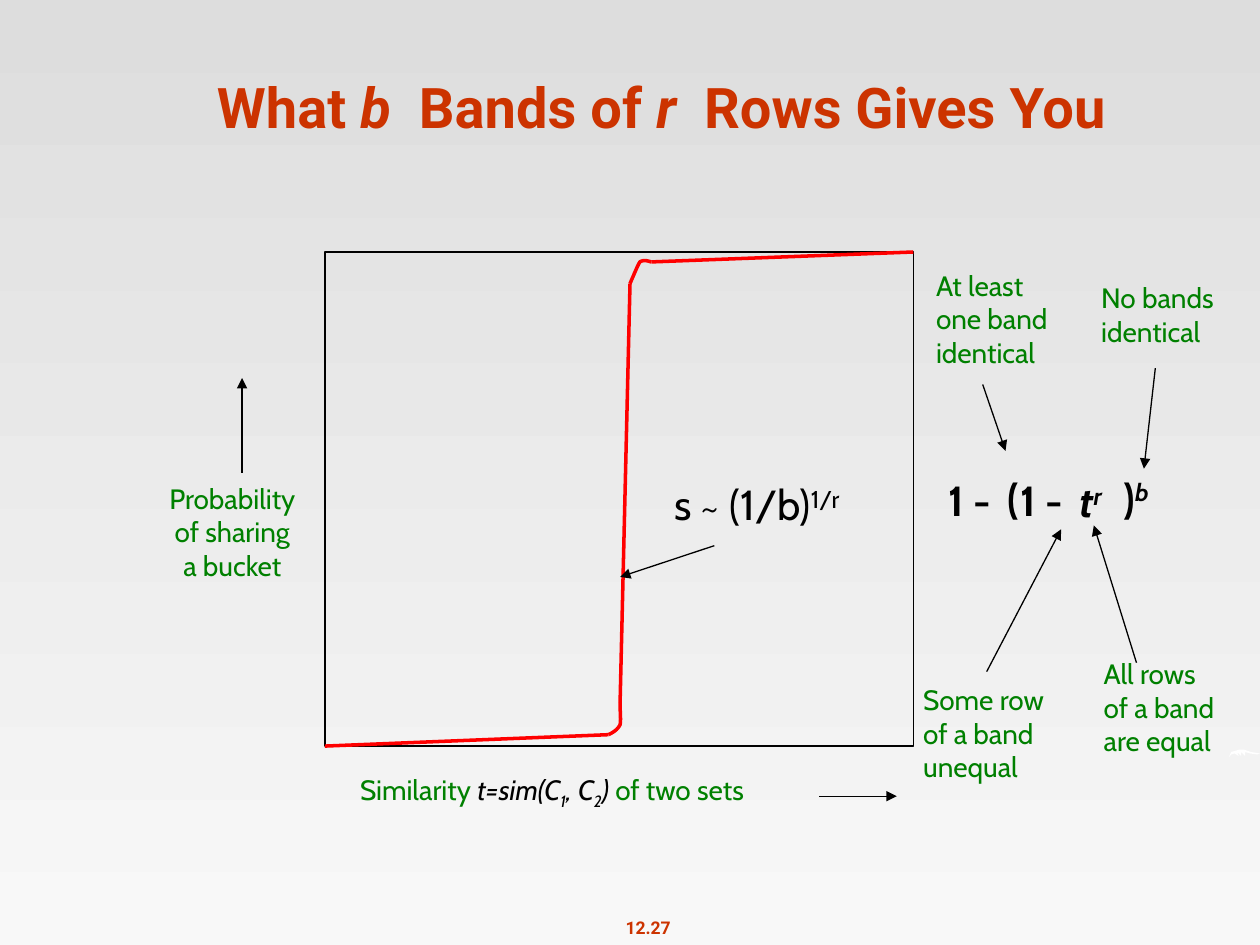
from lxml import etree
from pptx import Presentation
from pptx.dml.color import RGBColor
from pptx.enum.shapes import MSO_CONNECTOR, MSO_SHAPE
from pptx.enum.text import MSO_ANCHOR, MSO_AUTO_SIZE, PP_ALIGN
from pptx.oxml.ns import qn
from pptx.util import Cm, Pt

LEFT, CENTER = PP_ALIGN.LEFT, PP_ALIGN.CENTER
TOP, BOTTOM = MSO_ANCHOR.TOP, MSO_ANCHOR.BOTTOM
FIT = MSO_AUTO_SIZE.SHAPE_TO_FIT_TEXT
NO_FIT = MSO_AUTO_SIZE.NONE
STRAIGHT = MSO_CONNECTOR.STRAIGHT
RECTANGLE = MSO_SHAPE.RECTANGLE

COLORS = {
    "title": "CC3300",
    "label": "008000",
    "ink": "000000",
    "curve": "FF0000",
    "white": "FFFFFF",
    "bg_top": "DDDDDD",
    "bg_bottom": "F8F8F8",
}


def rgb(name):
    return RGBColor.from_string(COLORS[name])


def bezier(start, segments, steps=10):
    points = [start]
    for c1, c2, end in segments:
        p0 = points[-1]
        for i in range(1, steps + 1):
            t = i / steps
            u = 1 - t
            points.append(tuple(
                u**3 * a + 3 * u * u * t * b + 3 * u * t * t * c + t**3 * d
                for a, b, c, d in zip(p0, c1, c2, end)))
    return points


class SlideBuilder:
    heading_font = "Roboto"
    body_font = "Cabin"
    thin, thick = 0.75, 2

    def __init__(self, slide):
        self.slide = slide
        self.shapes = slide.shapes

    def background(self, top, bottom):
        fill = self.slide.background.fill
        fill.gradient()
        fill.gradient_angle = 270
        for stop, name in zip(fill.gradient_stops, (top, bottom)):
            stop.color.rgb = rgb(name)

    def text(self, box, paragraphs, size, color, bold=False, font=None,
             align=LEFT, anchor=TOP, wrap=False, fit=FIT, indent=None):
        sp = self.shapes.add_textbox(*map(Cm, box))
        tf = sp.text_frame
        tf.word_wrap = wrap
        tf.auto_size = fit
        tf.vertical_anchor = anchor
        if indent:
            tf.margin_left = Cm(indent)
        for i, runs in enumerate(paragraphs):
            p = tf.add_paragraph() if i else tf.paragraphs[0]
            p.alignment = align
            for text, style in runs:
                r = p.add_run()
                r.text = text
                r.font.name = font or self.body_font
                r.font.size = Pt(size)
                r.font.bold = bold
                r.font.italic = style.get("italic", False)
                r.font.color.rgb = rgb(style.get("color", color))
                if "base" in style:
                    r.font._element.set("baseline", str(style["base"] * 1000))

    def label(self, box, *lines, align=LEFT):
        self.text(box, [[(line, {})] for line in lines], 16, "label", align=align)

    def formula(self, box, *runs, bold=True):
        self.text(box, [runs], 24, "ink", bold=bold)

    def outline(self, sp, color, width):
        sp.line.color.rgb = rgb(color)
        sp.line.width = Pt(width)

    def frame(self, box):
        sp = self.shapes.add_shape(RECTANGLE, *map(Cm, box))
        sp.shadow.inherit = False
        sp.fill.background()
        self.outline(sp, "ink", self.thin)

    def line(self, start, end, color="curve", width=thick):
        c = self.shapes.add_connector(STRAIGHT, *map(Cm, start + end))
        self.outline(c, color, width)
        sppr = c._element.spPr
        etree.SubElement(sppr, qn("a:effectLst"))
        return sppr.find(qn("a:ln"))

    def arrow(self, start, end):
        ln = self.line(start, end, "ink", self.thin)
        etree.SubElement(ln, qn("a:tailEnd"), type="triangle")

    def freeform(self, points, fill=None):
        points = [(Cm(x), Cm(y)) for x, y in points]
        fb = self.shapes.build_freeform(*points[0])
        fb.add_line_segments(points[1:], close=fill is not None)
        sp = fb.convert_to_shape()
        sp.shadow.inherit = False
        if fill:
            sp.fill.solid()
            sp.fill.fore_color.rgb = rgb(fill)
            sp.line.fill.background()
        else:
            sp.fill.background()
            self.outline(sp, "curve", self.thick)


def main():
    prs = Presentation()
    prs.slide_width, prs.slide_height = Cm(25.4), Cm(19.05)
    s = SlideBuilder(prs.slides.add_slide(prs.slide_layouts[6]))
    italic = {"italic": True}
    ink = {"italic": True, "color": "ink"}
    sub = {**ink, "base": -25}
    power = {"base": 30}
    italic_power = {**italic, **power}

    s.background("bg_top", "bg_bottom")
    s.text((12.34, 18.36, 1.45, 0.69), [[("12.27", {})]], 10, "title",
           bold=True, font=s.heading_font, align=CENTER)
    s.freeform([
        (24.77, 15.27), (24.82, 15.16), (24.89, 15.14), (24.99, 15.11),
        (25.07, 15.11), (25.22, 15.16), (25.4, 15.19), (25.35, 15.21),
        (25.2, 15.19), (25.1, 15.16), (25.1, 15.24), (25.02, 15.16),
        (25.02, 15.24), (24.94, 15.16), (24.97, 15.24), (24.89, 15.19),
        (24.82, 15.21)], fill="white")
    s.text((1.27, 0.2, 24.13, 2.74),
           [[("What ", {}), ("b", italic), ("  Bands of ", {}),
             ("r", italic), ("  Rows Gives You", {})]],
           32, "title", bold=True, font=s.heading_font, align=CENTER,
           anchor=BOTTOM, wrap=True, fit=NO_FIT)

    s.frame((6.55, 5.08, 11.86, 9.96))
    lower = bezier((12.27, 14.81), [
        ((12.37, 14.76), (12.45, 14.71), (12.5, 14.61)),
        ((12.52, 14.5), (12.5, 14.35), (12.5, 14.17))])
    upper = bezier((12.7, 5.72), [
        ((12.78, 5.54), (12.85, 5.36), (12.9, 5.28)),
        ((12.98, 5.23), (13.06, 5.26), (13.13, 5.28))])
    s.line((6.55, 15.04), lower[0])
    s.freeform(lower)
    s.line(lower[-1], upper[0])
    s.freeform(upper)
    s.line(upper[-1], (18.41, 5.08))

    s.formula((21.51, 9.47, 1.3, 1.3), ("t", italic), ("r", italic_power))
    s.formula((20.32, 9.45, 1.68, 1.3), ("1 -", {}))
    s.formula((20.07, 9.4, 0.89, 1.3), ("(", {}))
    s.formula((22.4, 9.4, 1.42, 1.3), (")", {}), ("b", italic_power))
    s.formula((18.87, 9.45, 1.68, 1.3), ("1 -", {}))
    s.formula((13.34, 9.53, 4.9, 1.3), ("s ~ (1/b)", {}), ("1/r", power),
              bold=False)

    s.label((22, 13.11, 3.18, 2.54), "All rows", "of a band", "are equal")
    s.label((18.36, 13.64, 3.33, 2.54), "Some row", "of a band", "unequal")
    s.label((21.95, 5.54, 3.15, 1.86), "No bands", "identical")
    s.label((18.62, 5.28, 3.12, 2.54), "At least", "one band", "identical")
    s.label((2.97, 9.58, 3.43, 2.54), "Probability", "of sharing", "a bucket",
            align=CENTER)
    s.text((4.67, 15.44, 12.07, 1.02),
           [[("Similarity ", {}), ("t=sim(C", ink), ("1", sub), (", C", ink),
             ("2", sub), (") ", ink), ("of two sets", {})]],
           16, "label", align=CENTER, wrap=True, indent=1.1)

    for start, end in [
        ((22.91, 13.36), (22.05, 10.59)),
        ((19.89, 13.54), (21.39, 10.67)),
        ((23.29, 7.42), (23.06, 9.45)),
        ((19.81, 7.75), (20.27, 9.09)),
        ((14.4, 11), (12.5, 11.63)),
        ((16.51, 16.05), (18.08, 16.05)),
        ((4.88, 9.53), (4.88, 7.62)),
    ]:
        s.arrow(start, end)

    prs.save("out.pptx")


if __name__ == "__main__":
    main()
